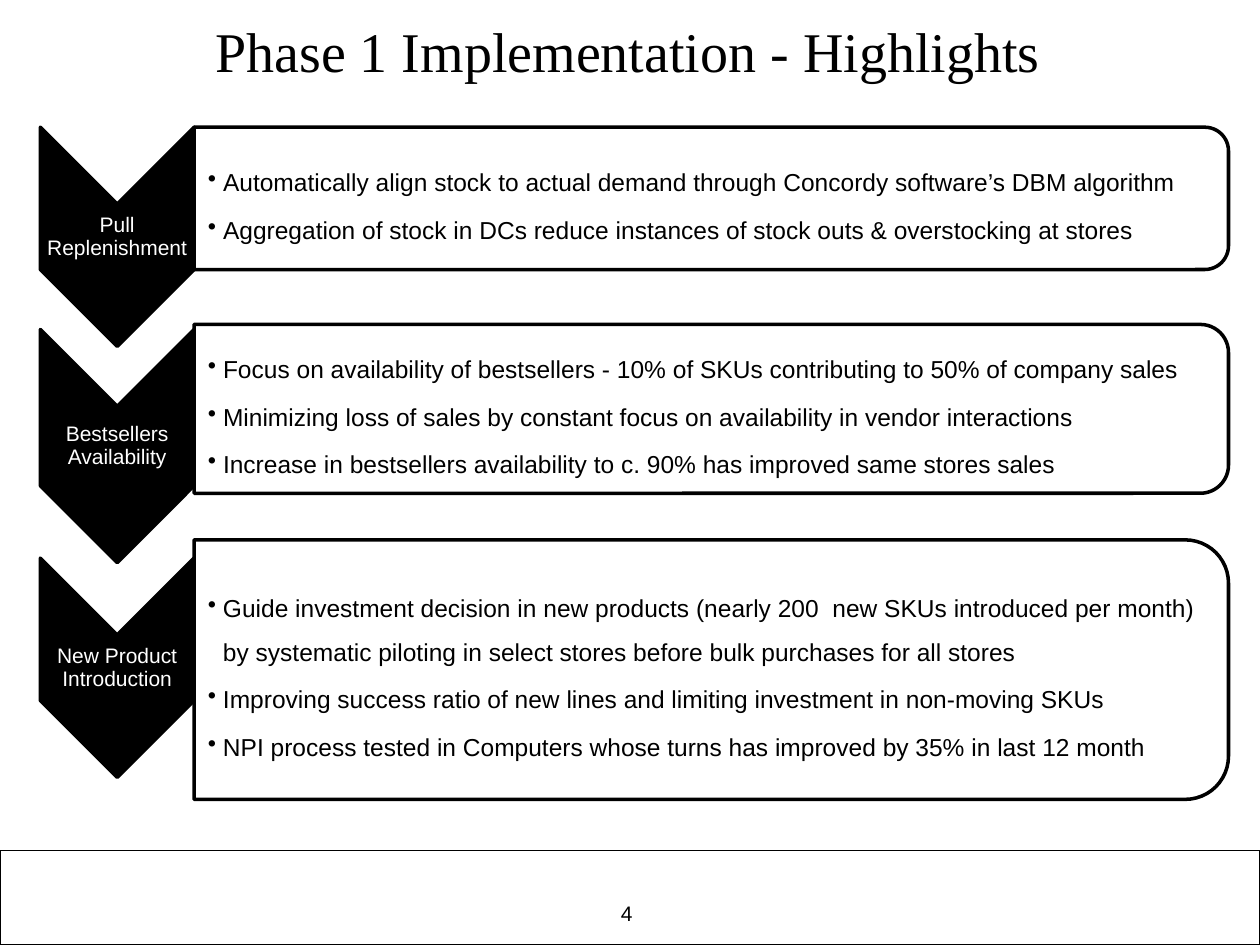
from dataclasses import dataclass

from lxml.etree import SubElement
from pptx import Presentation
from pptx.dml.color import RGBColor
from pptx.enum.shapes import MSO_SHAPE
from pptx.enum.text import MSO_ANCHOR, MSO_AUTO_SIZE, PP_ALIGN
from pptx.oxml.ns import qn
from pptx.util import Inches, Pt

COLORS = {"ink": "000000", "paper": "FFFFFF"}
COLS, ROWS = 100, 75
ARROW_LEFT, ARROW_W = 3.2, 12.2
PANEL_LEFT, PANEL_W = 15.4, 82.1
CORNER = 0.16667
CORNER_INSET = 0.29

prs = Presentation()
prs.slide_width, prs.slide_height = Inches(10), Inches(7.5)


@dataclass
class Box:
    col: float
    row: float
    cols: float
    rows: float

    def emu(self) -> list[int]:
        cell_w, cell_h = prs.slide_width / COLS, prs.slide_height / ROWS
        return [round(v) for v in (self.col * cell_w, self.row * cell_h,
                                   self.cols * cell_w, self.rows * cell_h)]

    def turned(self) -> "Box":
        shift = (self.cols - self.rows) / 2
        return Box(self.col + shift, self.row - shift, self.rows, self.cols)


@dataclass
class Phase:
    label: str
    arrow_row: float
    arrow_rows: float
    panel_row: float
    panel_rows: float
    points: list[str]


PHASES = [
    Phase("Pull Replenishment", 10.1, 17.4, 10.1, 11.3, [
        "Automatically align stock to actual demand through Concordy software’s DBM algorithm",
        "Aggregation of stock in DCs reduce instances of stock outs & overstocking at stores",
    ]),
    Phase("Bestsellers Availability", 26.15, 18.5, 25.75, 13.4, [
        "Focus on availability of bestsellers - 10% of SKUs contributing to 50% of company sales",
        "Minimizing loss of sales by constant focus on availability in vendor interactions",
        "Increase in bestsellers availability to c. 90% has improved same stores sales",
    ]),
    Phase("New Product Introduction", 44.3, 17.4, 42.85, 20.6, [
        "Guide investment decision in new products (nearly 200  new SKUs introduced per month) "
        "by systematic piloting in select stores before bulk purchases for all stores",
        "Improving success ratio of new lines and limiting investment in non-moving SKUs",
        "NPI process tested in Computers whose turns has improved by 35% in last 12 month",
    ]),
]


def rgb(name: str) -> RGBColor:
    return RGBColor.from_string(COLORS[name])


def add_block(s, kind: MSO_SHAPE, box: Box, fill: str, width: float, rotation: float = 0):
    sp = s.shapes.add_shape(kind, *box.emu())
    sp.rotation = rotation
    sp.shadow.inherit = False
    sp.fill.solid()
    sp.fill.fore_color.rgb = rgb(fill)
    sp.line.color.rgb = rgb("ink")
    sp.line.width = Pt(width)
    return sp


def add_text(s, box: Box, lines: list[str], size: float, color: str = "ink",
             font: str = "Arial", align: PP_ALIGN = PP_ALIGN.LEFT, wrap: bool = True):
    tf = s.shapes.add_textbox(*box.emu()).text_frame
    tf.word_wrap = wrap
    tf.text = "\n".join(lines)
    for p in tf.paragraphs:
        p.alignment = align
        for r in p.runs:
            r.font.name, r.font.size = font, Pt(size)
            r.font.color.rgb = rgb(color)
    return tf


def fit_middle(tf, left: float, spacing: float, after: float) -> None:
    tf.vertical_anchor = MSO_ANCHOR.MIDDLE
    tf.margin_left = Inches(left)
    tf.margin_top = tf.margin_right = tf.margin_bottom = Inches(0.01)
    for p in tf.paragraphs:
        p.line_spacing, p.space_after = spacing, Pt(after)


def add_bullets(tf) -> None:
    for p in tf.paragraphs:
        p.level = 1
        pPr = p._p.get_or_add_pPr()
        pPr.set("marL", str(Inches(0.12)))
        pPr.set("indent", str(-Inches(0.12)))
        SubElement(pPr, qn("a:buChar")).set("char", "•")


def draw_phase(s, phase: Phase) -> None:
    arrow = Box(ARROW_LEFT, phase.arrow_row, ARROW_W, phase.arrow_rows)
    add_block(s, MSO_SHAPE.CHEVRON, arrow.turned(), "ink", 2, 90)
    label = Box(ARROW_LEFT, phase.arrow_row + ARROW_W / 2, ARROW_W, phase.arrow_rows - ARROW_W)
    tf = add_text(s, label, [phase.label], 12, "paper", align=PP_ALIGN.CENTER)
    fit_middle(tf, 0.01, 0.9, 4.2)

    panel = Box(PANEL_LEFT, phase.panel_row, PANEL_W, phase.panel_rows)
    sp = add_block(s, MSO_SHAPE.ROUND_2_SAME_RECTANGLE, panel.turned(), "paper", 2, 90)
    fill = sp.fill._xPr.find(qn("a:solidFill"))
    SubElement(fill[0], qn("a:alpha")).set("val", "90000")
    inset = phase.panel_rows * CORNER * CORNER_INSET
    body = Box(PANEL_LEFT, phase.panel_row + inset, PANEL_W - inset, phase.panel_rows - 2 * inset)
    tf = add_text(s, body, phase.points, 14)
    fit_middle(tf, 0.11, 1.5, 2.1)
    add_bullets(tf)


def main() -> None:
    s = prs.slides.add_slide(prs.slide_layouts[6])
    add_block(s, MSO_SHAPE.RECTANGLE, Box(0, 67.5, COLS, 7.5), "paper", 0.75)
    number = add_text(s, Box(48.3, 71, 4.1, 3), ["4"], 12, wrap=False)
    title = add_text(s, Box(3.2, 0.8, 93.3, 6.4), ["Phase 1 Implementation - Highlights"],
                     32, font="Times New Roman", align=PP_ALIGN.CENTER)
    for tf in (number, title):
        tf.auto_size = MSO_AUTO_SIZE.SHAPE_TO_FIT_TEXT
    for phase in PHASES:
        draw_phase(s, phase)
    prs.save("out.pptx")


if __name__ == "__main__":
    main()
